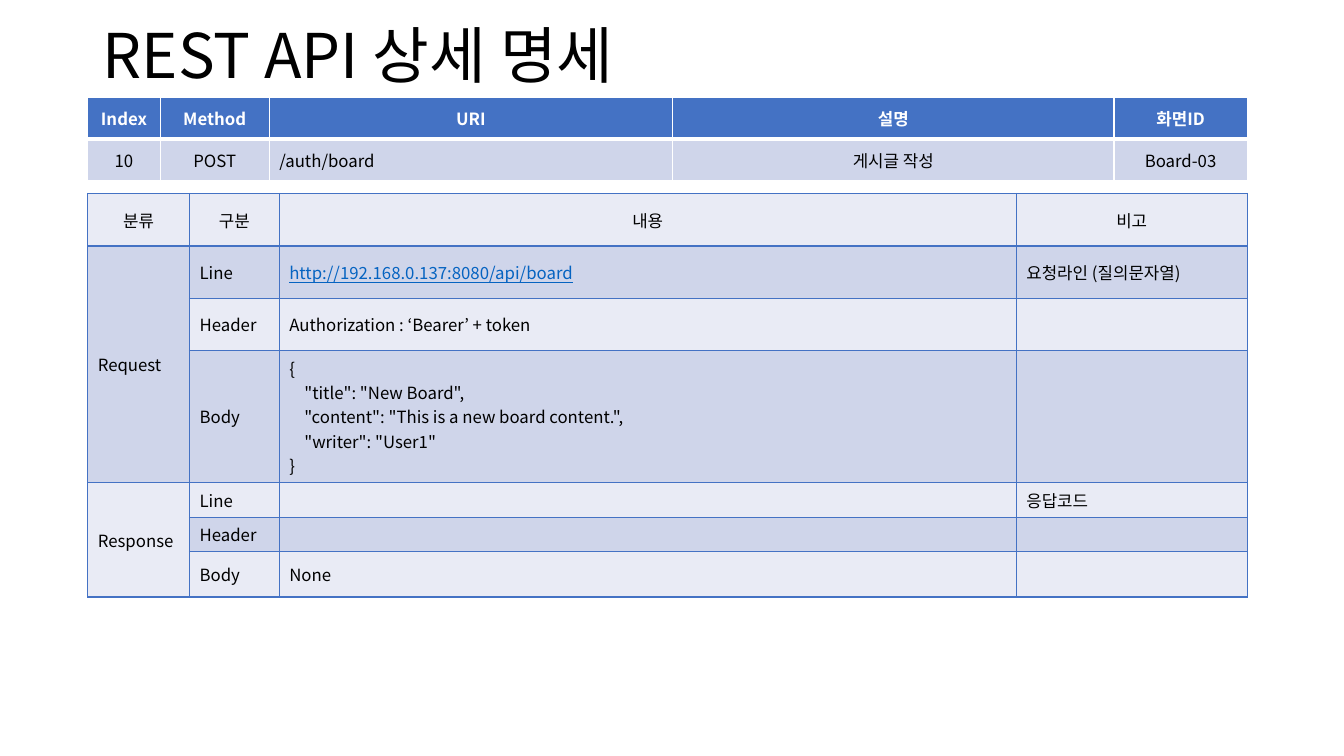
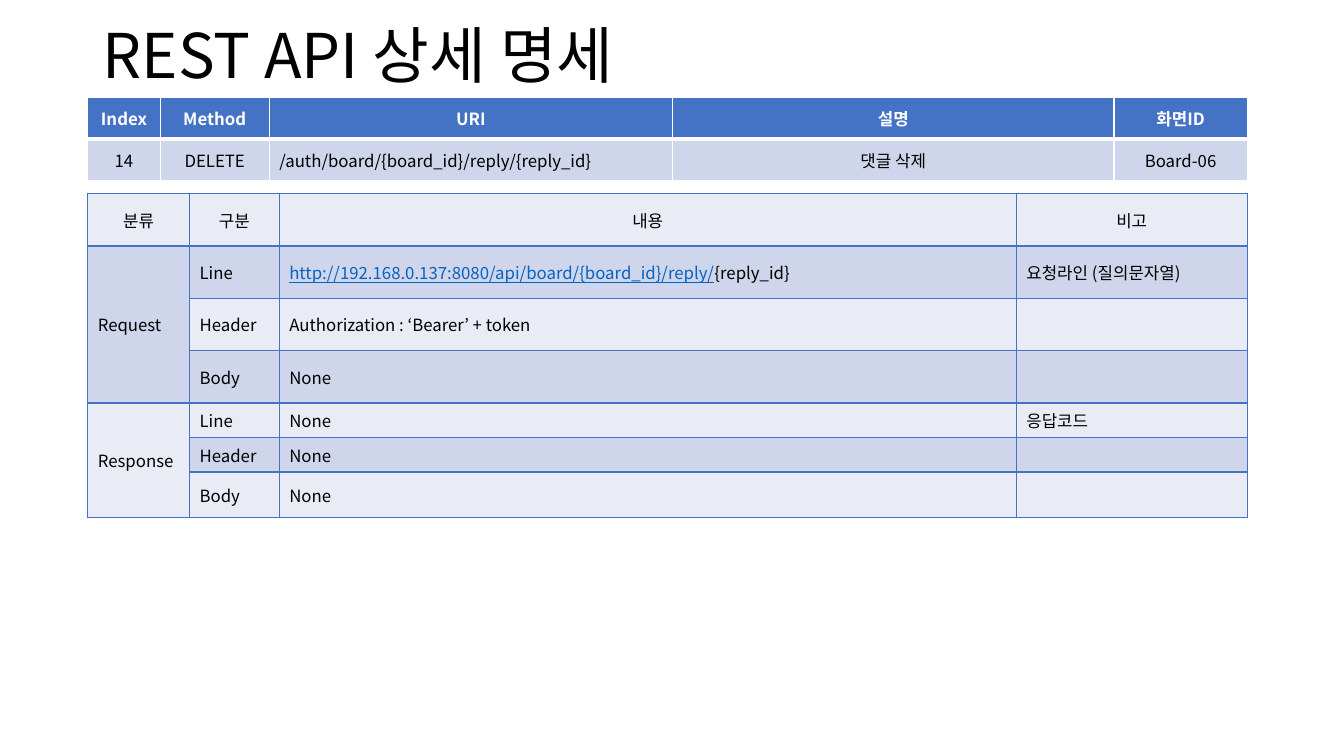
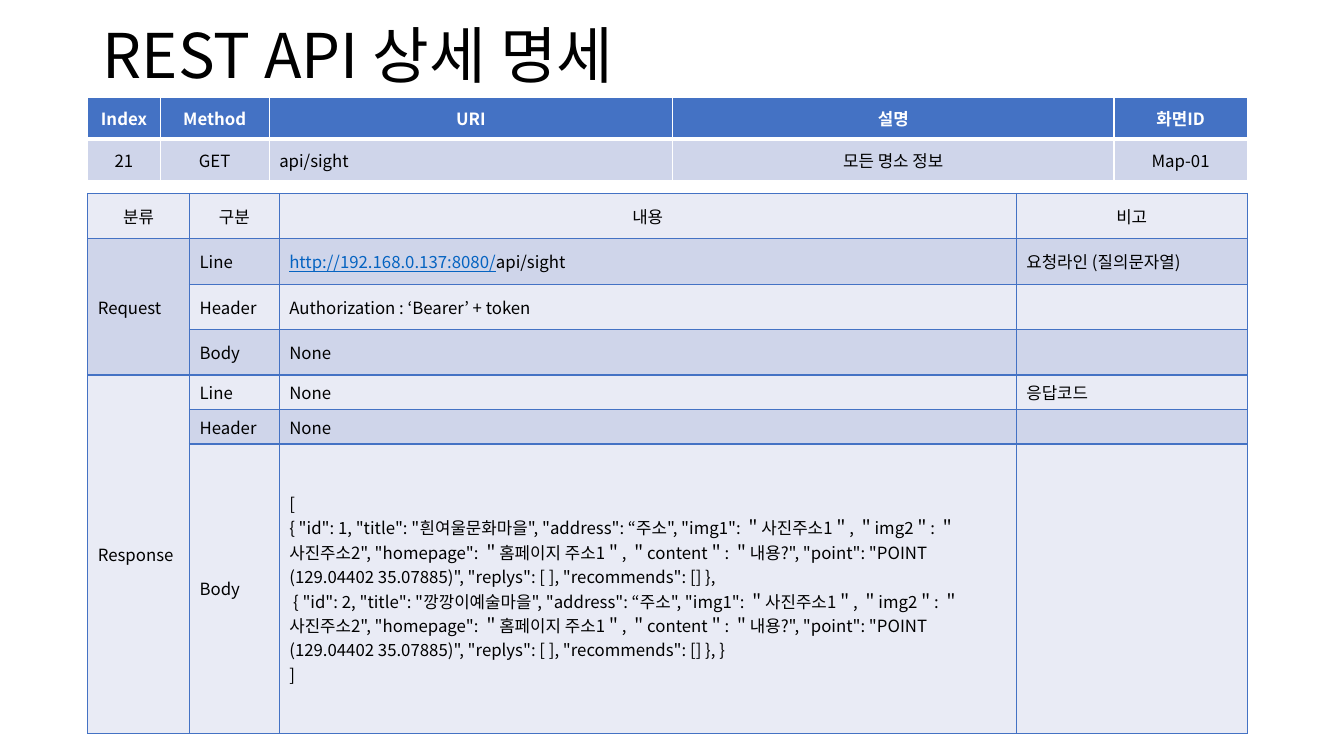
from dataclasses import dataclass

import lxml.etree
import pptx
import pptx.dml.color
import pptx.enum.text
import pptx.oxml.ns
import pptx.util

FONT = "Noto Sans CJK KR"
COLORS = {
    "ink": "000000",
    "white": "FFFFFF",
    "blue": "4472C4",
    "band": "CFD5EA",
    "pale": "E9EBF5",
    "link": "0563C1",
}
CENTER = pptx.enum.text.PP_ALIGN.CENTER
LEFT = pptx.enum.text.PP_ALIGN.LEFT
MIDDLE = pptx.enum.text.MSO_ANCHOR.MIDDLE
SLIDE_W, SLIDE_H = 13.33, 7.5
TABLE_LEFT, TABLE_W = 0.87, 11.5
TITLE = "REST API 상세 명세"
SUMMARY_TOP = 0.97
SUMMARY_COLS = (72, 108, 400, 438, 132)
SUMMARY_ROWS = (0.41, 0.41)
SUMMARY_HEAD = ("Index", "Method", "URI", "설명", "화면ID")
DETAIL_TOP = 1.92
DETAIL_COLS = (101, 89, 731, 229)
DETAIL_HEAD = ("분류", "구분", "내용", "비고")
PARTS = ("Line", "Header", "Body")
GROUPS = (("Request", "요청라인 (질의문자열)"), ("Response", "응답코드"))
SHORT_ROWS = (0.52,) * 4 + (0.27, 0.27, 0.45)
TALL_ROWS = (0.45,) * 4 + (0.26, 0.26, 2.87)
AUTH = "Authorization : ‘Bearer’ + token"

NEW_BOARD = """{
    "title": "New Board",
    "content": "This is a new board content.",
    "writer": "User1"
}"""
SIGHTS = """[
{ "id": 1, "title": "흰여울문화마을", "address": “주소", "img1": ＂사진주소1＂, ＂img2＂: ＂사진주소2", "homepage": ＂홈페이지 주소1＂, ＂content＂: ＂내용?", "point": "POINT (129.04402 35.07885)", "replys": [ ], "recommends": [] },
 { "id": 2, "title": "깡깡이예술마을", "address": “주소", "img1": ＂사진주소1＂, ＂img2＂: ＂사진주소2", "homepage": ＂홈페이지 주소1＂, ＂content＂: ＂내용?", "point": "POINT (129.04402 35.07885)", "replys": [ ], "recommends": [] }, }
]"""


@dataclass(frozen=True)
class Endpoint:
    summary: tuple[str, ...]
    link: str
    link_tail: str
    request_body: str
    response: tuple[str, str, str]
    rows: tuple[float, ...] = SHORT_ROWS


ENDPOINTS = (
    Endpoint(
        ("10", "POST", "/auth/board", "게시글 작성", "Board-03"),
        "http://192.168.0.137:8080/api/board", "",
        NEW_BOARD, ("", "", "None"),
    ),
    Endpoint(
        ("14", "DELETE", "/auth/board/{board_id}/reply/{reply_id}", "댓글 삭제", "Board-06"),
        "http://192.168.0.137:8080/api/board/{board_id}/reply/", "{reply_id}",
        "None", ("None", "None", "None"),
    ),
    Endpoint(
        ("21", "GET", "api/sight", "모든 명소 정보", "Map-01"),
        "http://192.168.0.137:8080/", "api/sight",
        "None", ("None", "None", SIGHTS), TALL_ROWS,
    ),
)


def rgb(name: str) -> pptx.dml.color.RGBColor:
    return pptx.dml.color.RGBColor.from_string(COLORS[name])


def add_xml(parent, tag: str, **attrs: str):
    return lxml.etree.SubElement(parent, pptx.oxml.ns.qn(tag), attrs)


def add_run(p, text: str, size: float, color: str, bold: bool, underline: bool) -> None:
    r = p.add_run()
    r.text = text
    r.font.size = pptx.util.Pt(size)
    r.font.bold = bold
    r.font.underline = underline
    r.font.color.rgb = rgb(color)
    r.font.name = FONT
    add_xml(r._r.get_or_add_rPr(), "a:ea", typeface=FONT)


def write(tf, text: str, *, size: float = 12, color: str = "ink", bold: bool = False,
          align=LEFT, link: str = "", spacing: float = 1.0) -> None:
    for i, line in enumerate(text.split("\n")):
        p = tf.add_paragraph() if i else tf.paragraphs[0]
        p.alignment = align
        p.line_spacing = spacing
        if link and i == 0:
            add_run(p, link, size, "link", bold, True)
        if line:
            add_run(p, line, size, color, bold, False)
        elif not link:
            end = add_xml(p._p, "a:endParaRPr", sz=str(int(size * 100)))
            add_xml(end, "a:latin", typeface=FONT)
            add_xml(end, "a:ea", typeface=FONT)


def style_cell(cell, fill: str, border: str, top: float = 1, bottom: float = 1) -> None:
    tcPr = cell._tc.get_or_add_tcPr()
    for side, width in (("L", 1), ("R", 1), ("T", top), ("B", bottom)):
        ln = add_xml(tcPr, f"a:ln{side}", w=str(int(pptx.util.Pt(width))))
        add_xml(add_xml(ln, "a:solidFill"), "a:srgbClr", val=COLORS[border])
    cell.fill.solid()
    cell.fill.fore_color.rgb = rgb(fill)
    cell.vertical_anchor = MIDDLE


def add_grid(s, top: float, weights: tuple[int, ...], heights: tuple[float, ...]):
    sp = s.shapes.add_table(
        len(heights), len(weights), pptx.util.Inches(TABLE_LEFT), pptx.util.Inches(top),
        pptx.util.Inches(TABLE_W), pptx.util.Inches(sum(heights)))
    table = sp.table
    table.first_row = table.horz_banding = False
    for column, weight in zip(table.columns, weights):
        column.width = pptx.util.Inches(TABLE_W * weight / sum(weights))
    for row, height in zip(table.rows, heights):
        row.height = pptx.util.Inches(height)
    return table


def add_title(s) -> None:
    sp = s.shapes.title
    sp.left, sp.top = pptx.util.Inches(0.92), pptx.util.Inches(-0.14)
    sp.width, sp.height = pptx.util.Inches(TABLE_W), pptx.util.Inches(1.45)
    sp.text_frame.vertical_anchor = MIDDLE
    write(sp.text_frame, TITLE, size=44, spacing=0.9)


def add_summary(s, endpoint: Endpoint) -> None:
    table = add_grid(s, SUMMARY_TOP, SUMMARY_COLS, SUMMARY_ROWS)
    for c, (head, value) in enumerate(zip(SUMMARY_HEAD, endpoint.summary)):
        cell = table.cell(0, c)
        style_cell(cell, "blue", "white", bottom=3)
        write(cell.text_frame, head, color="white", bold=True, align=CENTER)
        cell = table.cell(1, c)
        style_cell(cell, "band", "white", top=3)
        write(cell.text_frame, value, align=LEFT if head == "URI" else CENTER)


def add_detail(s, endpoint: Endpoint) -> None:
    contents = ((endpoint.link_tail, AUTH, endpoint.request_body), endpoint.response)
    rows = [DETAIL_HEAD]
    for (group, note), texts in zip(GROUPS, contents):
        for i, (part, text) in enumerate(zip(PARTS, texts)):
            rows.append(("" if i else group, part, text, "" if i else note))

    table = add_grid(s, DETAIL_TOP, DETAIL_COLS, endpoint.rows)
    for i, row in enumerate(rows):
        for c, text in enumerate(row):
            cell = table.cell(i, c)
            style_cell(cell, "band" if i % 2 else "pale", "blue")
            write(cell.text_frame, text, align=LEFT if i else CENTER,
                  link=endpoint.link if (i, c) == (1, 2) else "")
    for g in range(len(GROUPS)):
        first = 1 + g * len(PARTS)
        table.cell(first, 0).merge(table.cell(first + len(PARTS) - 1, 0))


def main() -> None:
    prs = pptx.Presentation()
    prs.slide_width = pptx.util.Inches(SLIDE_W)
    prs.slide_height = pptx.util.Inches(SLIDE_H)
    for endpoint in ENDPOINTS:
        s = prs.slides.add_slide(prs.slide_layouts[5])
        add_title(s)
        add_summary(s, endpoint)
        add_detail(s, endpoint)
    prs.save("out.pptx")


if __name__ == "__main__":
    main()
